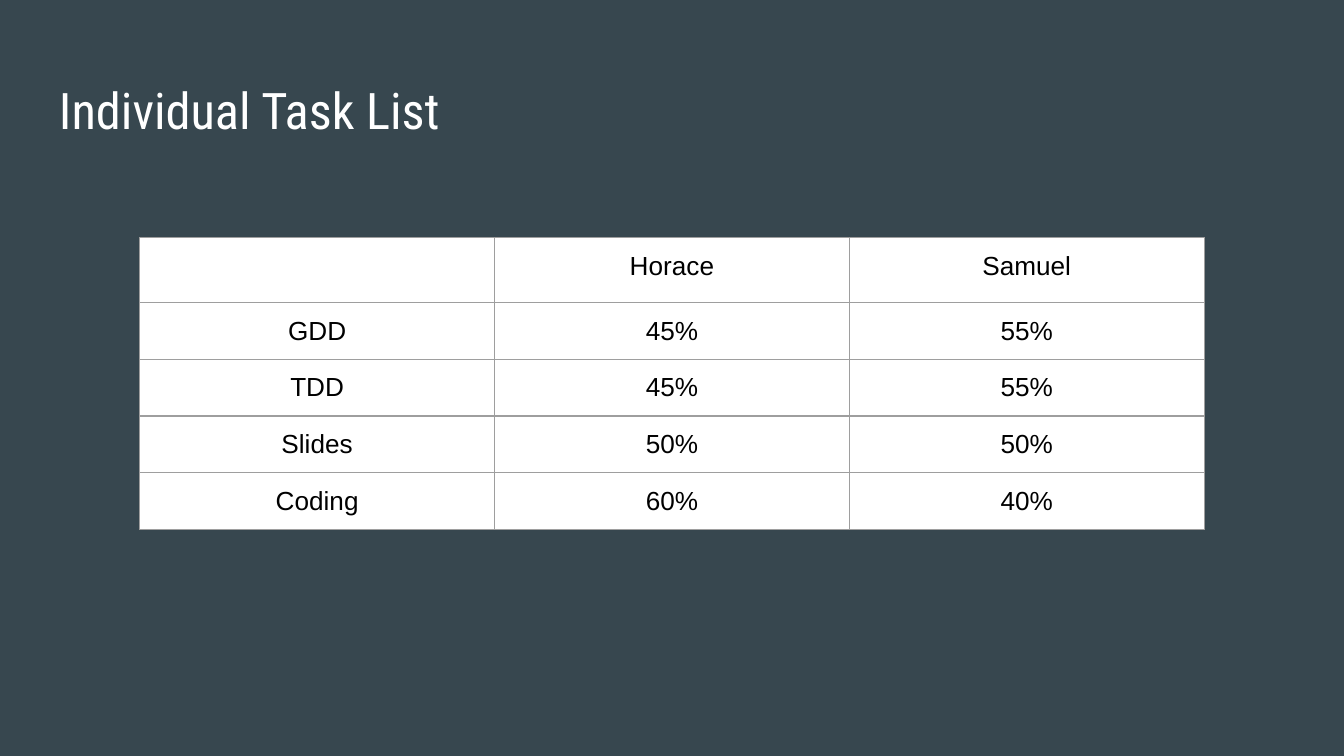
from dataclasses import dataclass

from lxml.etree import SubElement
from pptx import Presentation
from pptx.dml.color import RGBColor as RGB
from pptx.enum.text import MSO_ANCHOR as Anchor, PP_ALIGN as Align
from pptx.oxml.ns import qn
from pptx.util import Inches, Pt


@dataclass(frozen=True)
class Theme:
    background: str = "37474F"
    title: str = "FFFFFF"
    cell: str = "FFFFFF"
    text: str = "000000"
    border: str = "9E9E9E"
    border_width: float = 0.75
    title_font: str = "Roboto Condensed"
    body_font: str = "Arial"
    title_size: float = 27
    body_size: float = 14
    body_leading: float = 16
    inset: float = 0.1


@dataclass(frozen=True)
class Grid:
    left: float
    top: float
    col_width: float
    head_height: float
    row_height: float


THEME = Theme()
WIDTH = 10
HEIGHT = WIDTH * 9 / 16
GRID = Grid(left=1.04, top=1.77, col_width=2.64, head_height=0.48, row_height=0.42)
TASKS = [
    ("", "Horace", "Samuel"),
    ("GDD", "45%", "55%"),
    ("TDD", "45%", "55%"),
    ("Slides", "50%", "50%"),
    ("Coding", "60%", "40%"),
]


def set_attrs(target, values: dict) -> None:
    for name, value in values.items():
        setattr(target, name, value)


def margins() -> dict:
    return {f"margin_{side}": Inches(THEME.inset)
            for side in ("left", "top", "right", "bottom")}


def write(p, text: str, font: str, size: float, color: str) -> None:
    if text:
        r = p.add_run()
        r.text = text
        set_attrs(r.font, {"name": font, "size": Pt(size)})
        r.font.color.rgb = RGB.from_string(color)
    # The paragraph end keeps the same type, also in an empty cell
    end = SubElement(p._p, qn("a:endParaRPr"), sz=str(int(size * 100)))
    SubElement(end, qn("a:latin"), typeface=font)


def add_borders(cell) -> None:
    tc_pr = cell._tc.get_or_add_tcPr()
    for side in ("lnL", "lnR", "lnT", "lnB"):
        ln = SubElement(tc_pr, qn(f"a:{side}"), w=str(Pt(THEME.border_width)))
        fill = SubElement(ln, qn("a:solidFill"))
        SubElement(fill, qn("a:srgbClr"), val=THEME.border)


def add_title(s, text: str) -> None:
    side = 0.034 * WIDTH
    sp = s.shapes.add_textbox(Inches(side), Inches(0.087 * HEIGHT),
                              Inches(WIDTH - 2 * side), Inches(0.112 * HEIGHT))
    tf = sp.text_frame
    set_attrs(tf, {"word_wrap": True, "vertical_anchor": Anchor.TOP, **margins()})
    write(tf.paragraphs[0], text, THEME.title_font, THEME.title_size, THEME.title)


def add_task_table(s, rows: list[tuple[str, ...]], grid: Grid) -> None:
    n_rows, n_cols = len(rows), len(rows[0])
    heights = [grid.head_height] + [grid.row_height] * (n_rows - 1)
    table = s.shapes.add_table(
        n_rows, n_cols, Inches(grid.left), Inches(grid.top),
        Inches(grid.col_width * n_cols), Inches(sum(heights))).table
    set_attrs(table, {"first_row": False, "horz_banding": False})
    for col in table.columns:
        col.width = Inches(grid.col_width)
    for i, (height, values) in enumerate(zip(heights, rows)):
        table.rows[i].height = Inches(height)
        for j, value in enumerate(values):
            cell = table.cell(i, j)
            set_attrs(cell, {"vertical_anchor": Anchor.TOP, **margins()})
            add_borders(cell)
            cell.fill.solid()
            cell.fill.fore_color.rgb = RGB.from_string(THEME.cell)
            p = cell.text_frame.paragraphs[0]
            set_attrs(p, {"alignment": Align.CENTER,
                          "line_spacing": Pt(THEME.body_leading)})
            write(p, value, THEME.body_font, THEME.body_size, THEME.text)


def main() -> None:
    prs = Presentation()
    set_attrs(prs, {"slide_width": Inches(WIDTH), "slide_height": Inches(HEIGHT)})
    s = prs.slides.add_slide(prs.slide_layouts[6])

    # Background
    fill = s.background.fill
    fill.solid()
    fill.fore_color.rgb = RGB.from_string(THEME.background)

    # Title and table of shares per task
    add_title(s, "Individual Task List")
    add_task_table(s, TASKS, GRID)

    prs.save("out.pptx")


if __name__ == "__main__":
    main()
